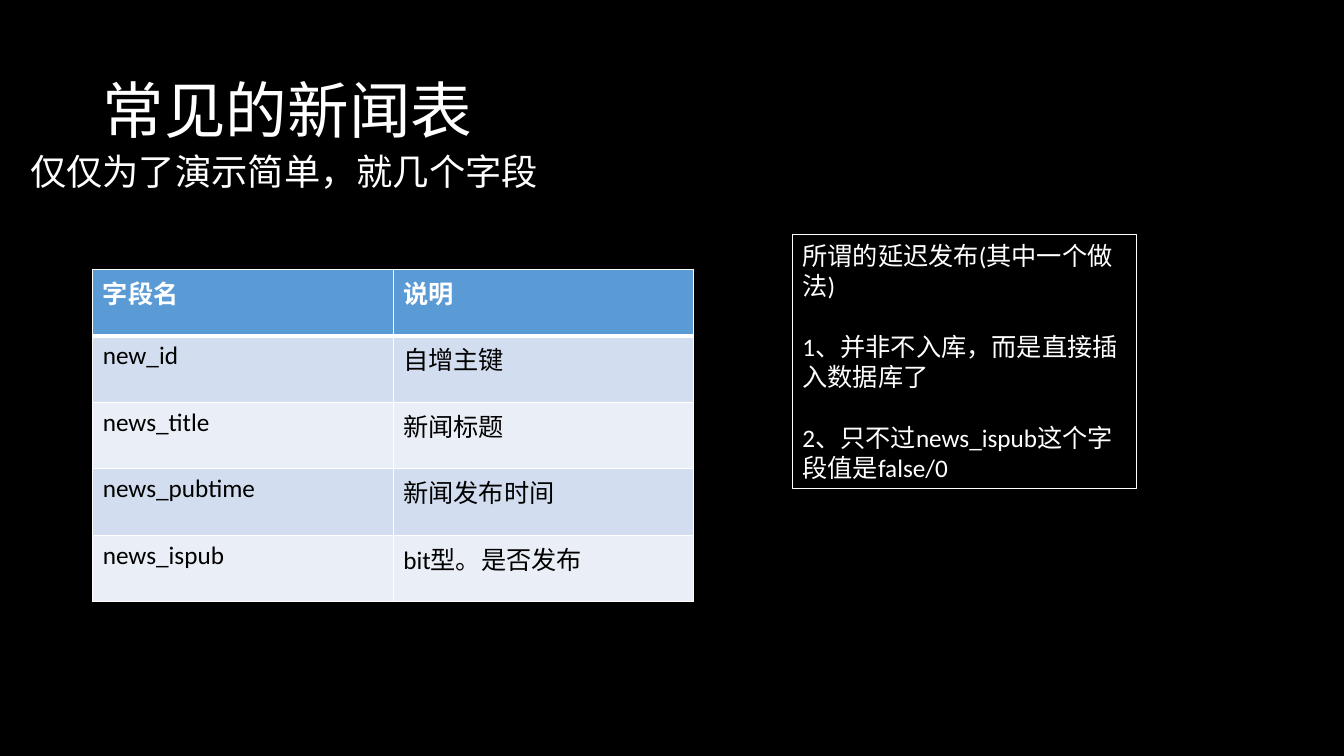
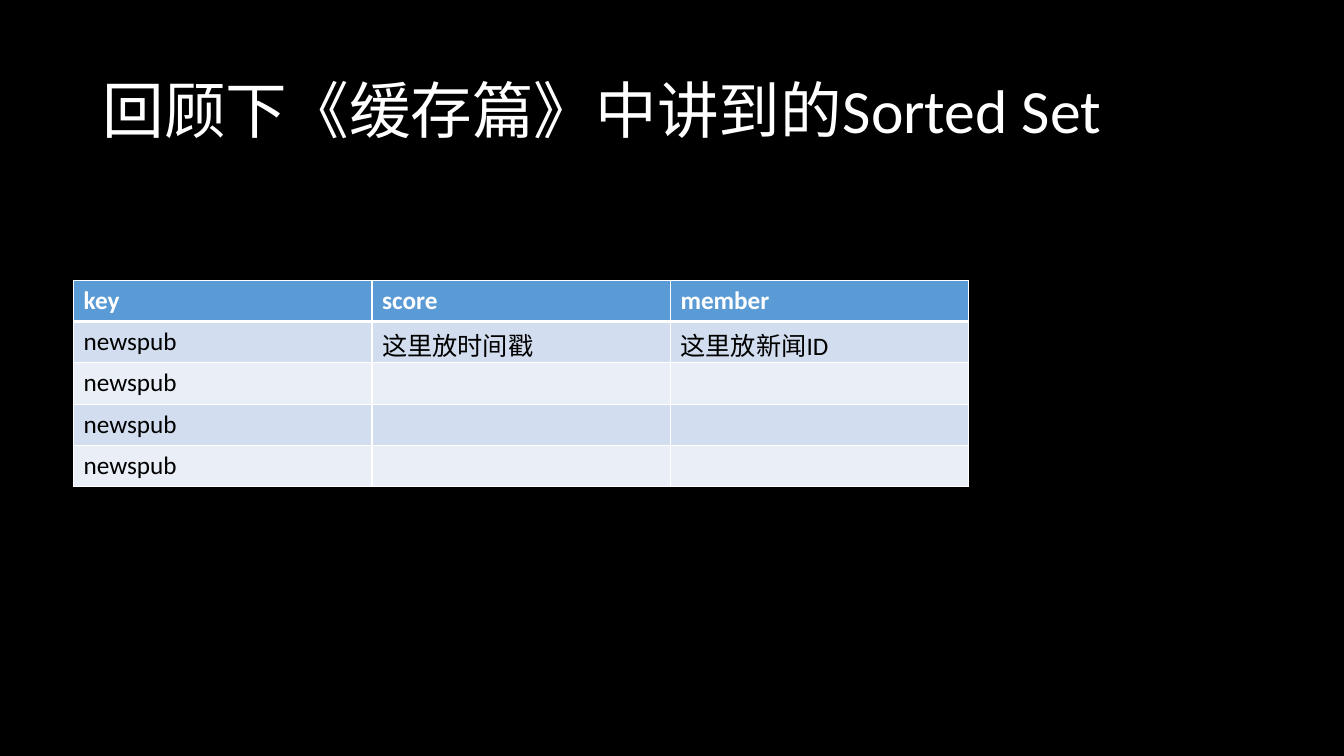
from pptx import Presentation, util as u
from pptx.dml.color import RGBColor
from pptx.enum import shapes, text
from pptx.oxml import parse_xml
from pptx.oxml.ns import nsdecls

BLACK = RGBColor(0, 0, 0)
WHITE = RGBColor(255, 255, 255)
HEADER = RGBColor(0x5B, 0x9B, 0xD5)
BANDS = [RGBColor(0xEA, 0xEF, 0xF7), RGBColor(0xD2, 0xDE, 0xEF)]
FONT = "Calibri"


def set_text(p, words, size, color=WHITE, bold=False):
    p.text = words
    p.font.name = FONT
    p.font.size = u.Pt(size)
    p.font.color.rgb = color
    p.font.bold = bold


def add_grid(s, left, top, col_width, row_height, rows):
    n_rows, n_cols = len(rows), len(rows[0])
    tbl = s.shapes.add_table(
        n_rows, n_cols, u.Inches(left), u.Inches(top),
        u.Inches(col_width * n_cols), u.Inches(row_height * n_rows)).table
    for i, row in enumerate(rows):
        for j, words in enumerate(row):
            cell = tbl.cell(i, j)
            set_text(cell.text_frame.paragraphs[0], words, 18,
                     BLACK if i else WHITE, i == 0)
            cell.fill.solid()
            cell.fill.fore_color.rgb = BANDS[i % 2] if i else HEADER
            widths = {"L": 1, "R": 1, "T": 3 if i == 1 else 1, "B": 1 if i else 3}
            for k, (side, width) in enumerate(widths.items()):
                cell._tc.get_or_add_tcPr().insert(k, parse_xml(
                    f'<a:ln{side} {nsdecls("a")} w="{u.Pt(width)}"><a:solidFill>'
                    f'<a:srgbClr val="{WHITE}"/></a:solidFill></a:ln{side}>'))


prs = Presentation()
prs.slide_width = u.Inches(13.33)
prs.slide_height = u.Inches(7.5)

slides = []
for title in ["常见的新闻表", "回顾下《缓存篇》中讲到的Sorted Set"]:
    s = prs.slides.add_slide(prs.slide_layouts[6])
    s.background.fill.solid()
    s.background.fill.fore_color.rgb = BLACK
    tf = s.shapes.add_textbox(
        u.Inches(0.92), u.Inches(0.4), u.Inches(11.5), u.Inches(1.45)).text_frame
    tf.word_wrap = True
    tf.vertical_anchor = text.MSO_ANCHOR.MIDDLE
    p = tf.paragraphs[0]
    set_text(p, title, 44)
    p.line_spacing = 0.9
    slides.append(s)

news, sorted_set = slides

tf = news.shapes.add_textbox(
    u.Inches(0.2), u.Inches(1.55), u.Inches(11.66), u.Inches(0.78)).text_frame
tf.word_wrap = True
p = tf.paragraphs[0]
set_text(p, "仅仅为了演示简单，就几个字段", 25.9)
p.line_spacing = 0.7
p.space_before = u.Pt(10)

add_grid(news, 0.92, 2.67, 2.98, 0.66, [
    ("字段名", "说明"),
    ("new_id", "自增主键"),
    ("news_title", "新闻标题"),
    ("news_pubtime", "新闻发布时间"),
    ("news_ispub", "bit型。是否发布"),
])

sp = news.shapes.add_shape(
    shapes.MSO_SHAPE.RECTANGLE,
    u.Inches(7.86), u.Inches(2.33), u.Inches(3.41), u.Inches(2.52))
sp.shadow.inherit = False
sp.fill.background()
sp.line.color.rgb = WHITE
sp.line.width = u.Pt(0.75)
tf = sp.text_frame
tf.word_wrap = True
tf.vertical_anchor = text.MSO_ANCHOR.TOP
for i, words in enumerate([
    "所谓的延迟发布(其中一个做法)",
    "1、并非不入库，而是直接插入数据库了",
    "2、只不过news_ispub这个字段值是false/0",
]):
    p = tf.add_paragraph() if i else tf.paragraphs[0]
    set_text(p, words, 18)
    p.alignment = text.PP_ALIGN.LEFT
    p.space_before = u.Pt(22 if i else 0)

add_grid(sorted_set, 0.73, 2.78, 2.96, 0.41, [
    ("key", "score", "member"),
    ("newspub", "这里放时间戳", "这里放新闻ID"),
    *[("newspub", "", "")] * 3,
])

prs.save("out.pptx")
